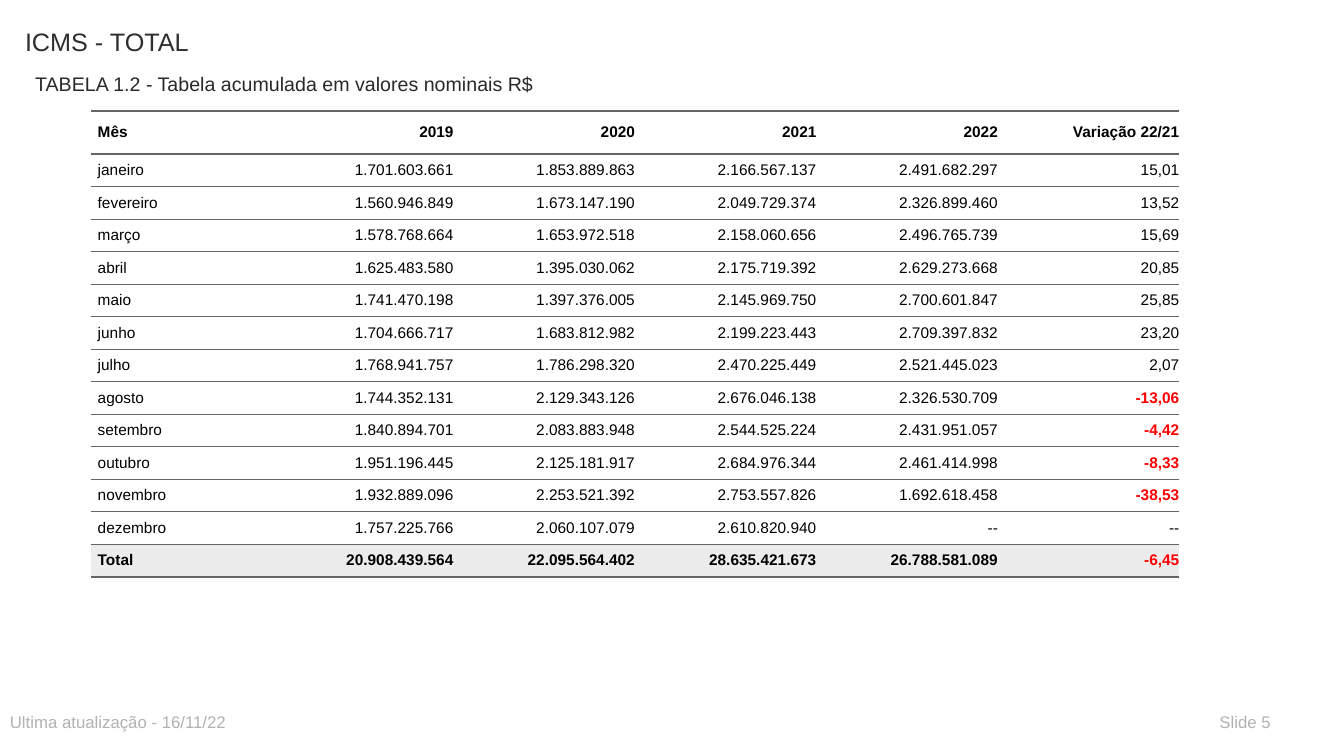
from dataclasses import dataclass

from pptx import Presentation
from pptx.dml.color import RGBColor as Color
from pptx.enum.text import MSO_ANCHOR as Anchor, PP_ALIGN as Align
from pptx.oxml import parse_xml
from pptx.oxml.ns import nsdecls
from pptx.util import Pt


@dataclass(frozen=True)
class Theme:
    font: str = "Arial"
    title: str = "2D2E2D"
    subtitle: str = "292929"
    footer: str = "B2B2B2"
    ink: str = "000000"
    negative: str = "FF0000"
    rule: str = "666666"
    paper: str = "FFFFFF"
    total: str = "ECECEC"
    title_size: float = 18
    subtitle_size: float = 14
    footer_size: float = 12
    table_size: float = 11
    thick: float = 2
    thin: float = 0.5
    padding: float = 5


HEADER = ["Mês", "2019", "2020", "2021", "2022", "Variação 22/21"]
MONTHS = [
    ["janeiro", "1.701.603.661", "1.853.889.863", "2.166.567.137", "2.491.682.297", "15,01"],
    ["fevereiro", "1.560.946.849", "1.673.147.190", "2.049.729.374", "2.326.899.460", "13,52"],
    ["março", "1.578.768.664", "1.653.972.518", "2.158.060.656", "2.496.765.739", "15,69"],
    ["abril", "1.625.483.580", "1.395.030.062", "2.175.719.392", "2.629.273.668", "20,85"],
    ["maio", "1.741.470.198", "1.397.376.005", "2.145.969.750", "2.700.601.847", "25,85"],
    ["junho", "1.704.666.717", "1.683.812.982", "2.199.223.443", "2.709.397.832", "23,20"],
    ["julho", "1.768.941.757", "1.786.298.320", "2.470.225.449", "2.521.445.023", "2,07"],
    ["agosto", "1.744.352.131", "2.129.343.126", "2.676.046.138", "2.326.530.709", "-13,06"],
    ["setembro", "1.840.894.701", "2.083.883.948", "2.544.525.224", "2.431.951.057", "-4,42"],
    ["outubro", "1.951.196.445", "2.125.181.917", "2.684.976.344", "2.461.414.998", "-8,33"],
    ["novembro", "1.932.889.096", "2.253.521.392", "2.753.557.826", "1.692.618.458", "-38,53"],
    ["dezembro", "1.757.225.766", "2.060.107.079", "2.610.820.940", "--", "--"],
]
TOTAL = ["Total", "20.908.439.564", "22.095.564.402", "28.635.421.673", "26.788.581.089", "-6,45"]
NO_STYLE = "{2D5ABB26-0587-4C30-8999-92F81FD0307C}"


def apply(target, formats):
    for name, value in formats.items():
        setattr(target, name, value)


class SlideBuilder:
    def __init__(self, slide, theme):
        self.slide = slide
        self.theme = theme

    def add_text_run(self, paragraph, text, size, color, bold=False):
        run = paragraph.add_run()
        run.text = text
        apply(run.font, {"name": self.theme.font, "size": Pt(size), "bold": bold})
        run.font.color.rgb = Color.from_string(color)

    def text(self, text, box, size, color):
        shape = self.slide.shapes.add_textbox(*map(Pt, box))
        apply(shape.text_frame, {"word_wrap": True, "margin_top": Pt(4.6)})
        self.add_text_run(shape.text_frame.paragraphs[0], text, size, color)

    def border(self, cell, side, width):
        cell._tc.get_or_add_tcPr().append(parse_xml(
            f'<a:{side} {nsdecls("a")} w="{int(Pt(width))}"><a:solidFill>'
            f'<a:srgbClr val="{self.theme.rule}"/></a:solidFill></a:{side}>'))

    def cell(self, cell, text, fill, bold, numeric, rules):
        theme = self.theme
        for side, width in zip(("lnT", "lnB"), rules):
            self.border(cell, side, width)
        apply(cell, {
            "margin_left": 0, "margin_right": 0,
            "margin_top": Pt(theme.padding), "margin_bottom": Pt(theme.padding),
            "vertical_anchor": Anchor.MIDDLE,
        })
        cell.fill.solid()
        cell.fill.fore_color.rgb = Color.from_string(fill)
        paragraph = cell.text_frame.paragraphs[0]
        apply(paragraph, {
            "alignment": Align.RIGHT if numeric else Align.LEFT,
            "space_before": Pt(theme.padding), "space_after": Pt(theme.padding),
        })
        paragraph._p.get_or_add_pPr().set("marL", str(int(Pt(theme.padding))))
        negative = text.startswith("-") and text != "--"
        color = theme.negative if negative else theme.ink
        self.add_text_run(paragraph, text, theme.table_size, color, bold or negative)

    def table(self, rows, left, top, column_width, header_height, row_height):
        theme = self.theme
        last = len(rows) - 1
        width = column_width * len(rows[0])
        height = header_height + row_height * last
        frame = self.slide.shapes.add_table(
            len(rows), len(rows[0]), *map(Pt, (left, top, width, height)))
        table = frame.table
        apply(table, {"first_row": False, "horz_banding": False})
        table._tbl.tblPr.find("{*}tableStyleId").text = NO_STYLE
        for column in table.columns:
            column.width = Pt(column_width)
        rules = [theme.thick] * 2 + [theme.thin] * (last - 1) + [theme.thick]
        for index, values in enumerate(rows):
            table.rows[index].height = Pt(row_height if index else header_height)
            fill = theme.total if index == last else theme.paper
            for position, value in enumerate(values):
                self.cell(table.cell(index, position), value, fill,
                          index in (0, last), position > 0, rules[index:index + 2])


def main():
    presentation = Presentation()
    apply(presentation, {"slide_width": Pt(960), "slide_height": Pt(540)})
    theme = Theme()
    slide = presentation.slides.add_slide(presentation.slide_layouts[6])
    builder = SlideBuilder(slide, theme)
    builder.text("ICMS - TOTAL", (10.8, 14.4, 576, 42.5), theme.title_size, theme.title)
    builder.text("TABELA 1.2 - Tabela acumulada em valores nominais R$",
                 (18, 46.8, 468, 21.6), theme.subtitle_size, theme.subtitle)
    builder.table([HEADER, *MONTHS, TOTAL], left=64.8, top=79.2,
                  column_width=129.6, header_height=31, row_height=18)
    builder.text("Ultima atualização - 16/11/22", (0, 504, 468, 21.6),
                 theme.footer_size, theme.footer)
    builder.text("Slide 5", (864, 504, 64.8, 21.6), theme.footer_size, theme.footer)
    presentation.save("out.pptx")


if __name__ == "__main__":
    main()
